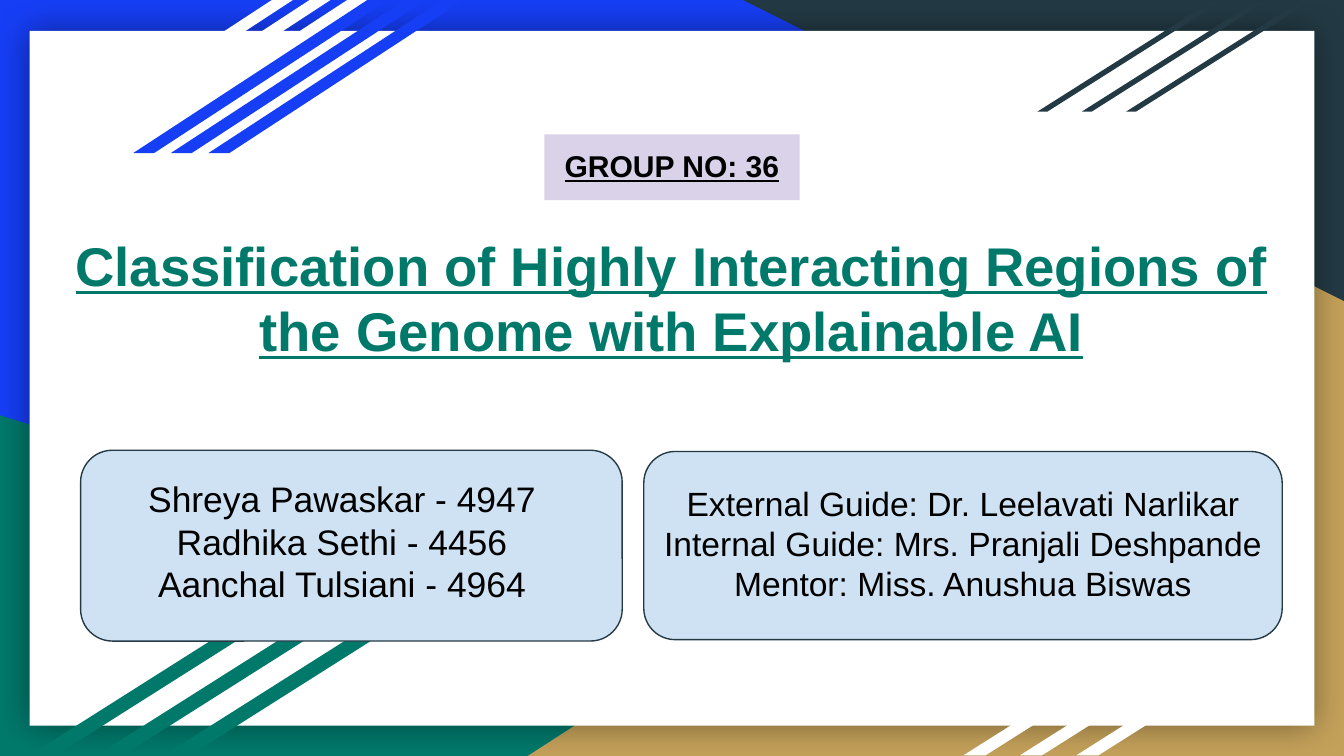
"""Build the opening slide of a genome classification project."""
from dataclasses import dataclass

from lxml import etree
from pptx import Presentation
from pptx.dml.color import RGBColor
from pptx.enum.shapes import MSO_SHAPE
from pptx.enum.text import MSO_ANCHOR, MSO_AUTO_SIZE, PP_ALIGN
from pptx.oxml.ns import qn
from pptx.util import Inches, Pt

TRIANGLE = MSO_SHAPE.RIGHT_TRIANGLE
RECTANGLE = MSO_SHAPE.RECTANGLE
ROUNDED = MSO_SHAPE.ROUNDED_RECTANGLE
STRIPE = MSO_SHAPE.PARALLELOGRAM
CENTER = PP_ALIGN.CENTER
TOP, MIDDLE = MSO_ANCHOR.TOP, MSO_ANCHOR.MIDDLE
NO_AUTOFIT = MSO_AUTO_SIZE.NONE

FONT = "Arial"
TITLE_ONLY = 5
STRIPES_PER_BAND = 3
SLIDE_WIDTH = 10
SLIDE_HEIGHT = SLIDE_WIDTH * 9 / 16
COLORS = {
    "blue": "163EF5", "green": "00796B", "gold": "C4A15A", "slate": "233A44",
    "white": "FFFFFF", "black": "000000", "panel": "CFE2F3", "lilac": "D9D2E9",
}


@dataclass(frozen=True)
class Box:
    left: float
    top: float
    width: float
    height: float

    def lengths(self):
        return [Inches(v) for v in (self.left, self.top, self.width, self.height)]


@dataclass(frozen=True)
class Band:
    first: Box
    step: float
    slant: float
    color: str


@dataclass(frozen=True)
class Copy:
    box: Box
    lines: tuple[str, ...]
    size: float
    color: str = "black"
    emphasized: bool = False
    anchor: MSO_ANCHOR = TOP


BANDS = (
    Band(Box(0.28, 0, 1.9, 1.14), 0.28, 1.53, "white"),
    Band(Box(0.99, 0, 1.9, 1.14), 0.28, 1.53, "blue"),
    Band(Box(7.72, 0.01, 1.37, 0.82), 0.33, 1.58, "slate"),
    Band(Box(7.17, 4.61, 1.76, 1.01), 0.42, 1.58, "white"),
    Band(Box(0.22, 4.44, 2.06, 1.18), 0.5, 1.58, "green"),
)
PANELS = (Box(4.79, 3.36, 4.75, 1.4), Box(0.6, 3.35, 4.03, 1.42))
TITLE = Copy(
    Box(0.27, 1.48, 9.45, 1.46),
    ("Classification of Highly Interacting Regions of the Genome with Explainable AI",),
    29.2, "green", True, MIDDLE,
)
STUDENTS = Copy(
    Box(0.46, 3.45, 4.17, 1.22),
    ("Shreya Pawaskar - 4947", "Radhika Sethi - 4456", "Aanchal Tulsiani - 4964"), 19,
)
GUIDES = Copy(
    Box(4.79, 3.49, 4.75, 1.14),
    ("External Guide: Dr. Leelavati Narlikar",
     "Internal Guide: Mrs. Pranjali Deshpande",
     "Mentor: Miss. Anushua Biswas"), 18,
)
GROUP = Copy(Box(4.05, 1, 1.9, 0.49), ("GROUP NO: 36",), 16.1, emphasized=True)


def rgb(name: str) -> RGBColor:
    return RGBColor.from_string(COLORS[name])


def add_block(slide, kind: MSO_SHAPE, box: Box, color: str):
    block = slide.shapes.add_shape(kind, *box.lengths())
    block.shadow.inherit = False
    block.fill.solid()
    block.fill.fore_color.rgb = rgb(color)
    block.line.fill.background()
    return block


def add_glow(block) -> None:
    effects = block.element.spPr.find(qn("a:effectLst"))
    shadow = etree.SubElement(effects, qn("a:outerShdw"), blurRad=str(Pt(18)),
                              dist="0", dir="0", algn="ctr", rotWithShape="0")
    tint = etree.SubElement(shadow, qn("a:srgbClr"), val=COLORS["black"])
    etree.SubElement(tint, qn("a:alpha"), val="40000")


def add_band(slide, band: Band) -> None:
    first = band.first
    for index in reversed(range(STRIPES_PER_BAND)):
        box = Box(first.left + index * band.step, first.top, first.width, first.height)
        stripe = add_block(slide, STRIPE, box, band.color)
        stripe.adjustments[0] = band.slant


def add_panel(slide, box: Box) -> None:
    panel = add_block(slide, ROUNDED, box, "panel")
    panel.adjustments[0] = 0.167
    panel.line.color.rgb = rgb("slate")
    panel.line.width = Pt(0.75)


def write(holder, copy: Copy) -> None:
    frame = holder.text_frame
    frame.word_wrap = True
    frame.auto_size = NO_AUTOFIT
    frame.vertical_anchor = copy.anchor
    frame.margin_left = frame.margin_right = Inches(0.1)
    frame.margin_top = frame.margin_bottom = Inches(0.1)
    for index, line in enumerate(copy.lines):
        paragraph = frame.add_paragraph() if index else frame.paragraphs[0]
        paragraph.alignment = CENTER
        run = paragraph.add_run()
        run.text = line
        run.font.name = FONT
        run.font.size = Pt(copy.size)
        run.font.color.rgb = rgb(copy.color)
        run.font.bold = run.font.underline = copy.emphasized


def add_backdrop(slide) -> None:
    slide.background.fill.solid()
    slide.background.fill.fore_color.rgb = rgb("blue")
    add_block(slide, TRIANGLE, Box(0, 3.09, 8.06, 2.54), "green")
    gold_corner = add_block(slide, TRIANGLE, Box(3.92, 1.7, 6.08, 3.93), "gold")
    gold_corner.element.spPr.find(qn("a:xfrm")).set("flipH", "1")
    slate_corner = add_block(slide, TRIANGLE, Box(5.53, 0, 4.47, 2.24), "slate")
    slate_corner.rotation = 180
    add_glow(add_block(slide, RECTANGLE, Box(0.22, 0.23, 9.56, 5.17), "white"))
    for band in BANDS:
        add_band(slide, band)


def place_title(slide) -> None:
    title = slide.shapes.title
    title.left, title.top, title.width, title.height = TITLE.box.lengths()
    write(title, TITLE)
    title.element.getparent().append(title.element)


def main() -> None:
    deck = Presentation()
    deck.slide_width, deck.slide_height = Inches(SLIDE_WIDTH), Inches(SLIDE_HEIGHT)
    slide = deck.slides.add_slide(deck.slide_layouts[TITLE_ONLY])
    add_backdrop(slide)
    for box in PANELS:
        add_panel(slide, box)
    place_title(slide)
    for people in (STUDENTS, GUIDES):
        write(slide.shapes.add_textbox(*people.box.lengths()), people)
    write(add_block(slide, RECTANGLE, GROUP.box, "lilac"), GROUP)
    deck.save("out.pptx")


if __name__ == "__main__":
    main()
